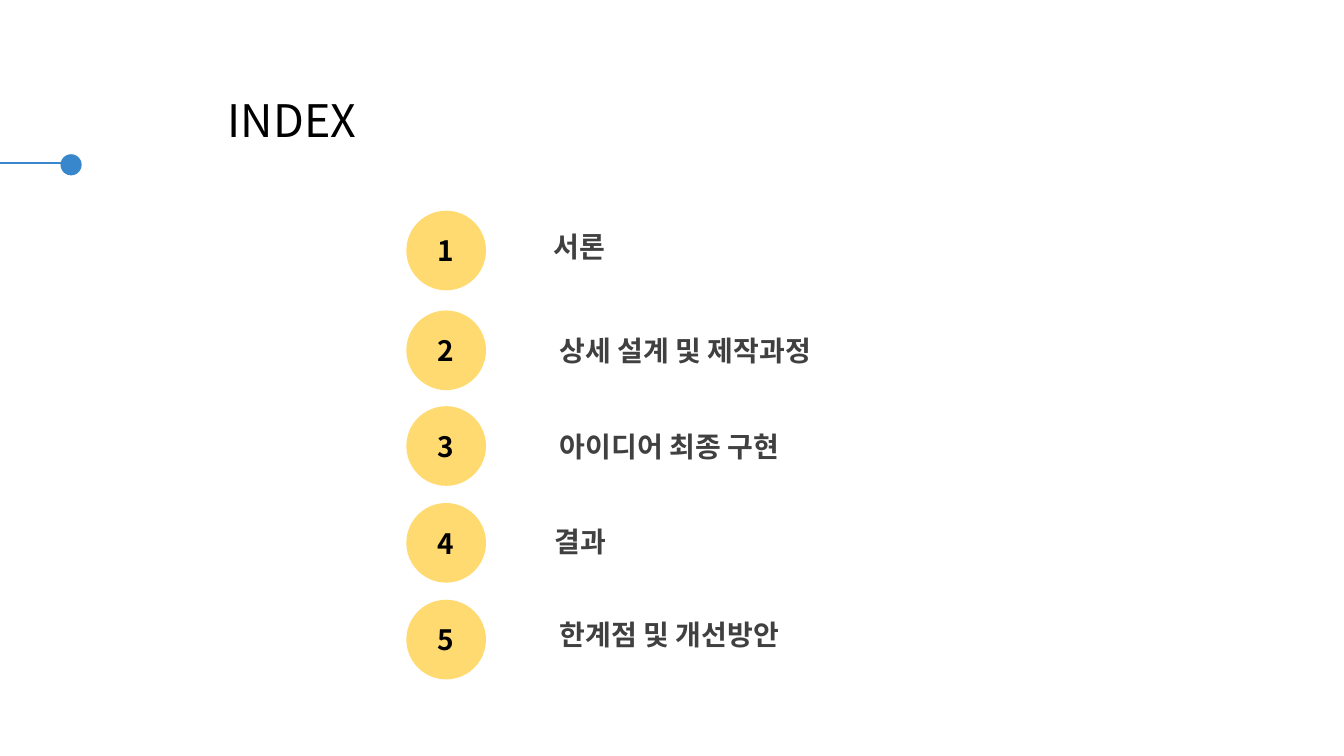
import pptx
import pptx.util
import pptx.dml.color
import pptx.enum.shapes
import pptx.enum.text
import pptx.oxml
import pptx.oxml.ns
from lxml import etree

Inches = pptx.util.Inches
Align = pptx.enum.text.PP_ALIGN
Kind = pptx.enum.shapes.MSO_SHAPE
qn = pptx.oxml.ns.qn
NOTO = "Noto Sans CJK KR"
BLUE = "3886CC"


def color(code):
    return pptx.dml.color.RGBColor.from_string(code)


def write(shape, text, size, face, code, bold, align):
    """Put one styled line of text in a shape, with a Korean fallback font."""
    para = shape.text_frame.paragraphs[0]
    para.text = text
    para.alignment = align
    font = para.runs[0].font
    font.size = pptx.util.Pt(size)
    font.bold = bold
    font.color.rgb = color(code)
    font.name = face
    latin = font._element.find(qn("a:latin"))
    east = etree.Element(qn("a:ea"), typeface=NOTO)
    latin.addnext(east)


deck = pptx.Presentation()
deck.slide_width = Inches(13.33)
deck.slide_height = Inches(7.5)
slide = deck.slides.add_slide(deck.slide_layouts[6])
shapes = slide.shapes

# Title with its line and dot
line = shapes.add_connector(
    pptx.enum.shapes.MSO_CONNECTOR.STRAIGHT,
    Inches(0), Inches(1.62), Inches(0.7), Inches(1.62))
line.line.color.rgb = color(BLUE)
line.line.width = pptx.util.Pt(1.5)
etree.SubElement(line._element.spPr, qn("a:effectLst"))

dot = shapes.add_shape(
    Kind.OVAL, Inches(0.6), Inches(1.53), Inches(0.21), Inches(0.21))
dot.shadow.inherit = False
dot.fill.solid()
dot.fill.fore_color.rgb = color(BLUE)
dot.line.fill.background()

title = shapes.add_textbox(
    Inches(2.16), Inches(0.87), Inches(1.75), Inches(0.64))
title.text_frame.word_wrap = True
write(title, "INDEX", 32, NOTO, "000000", False, Align.LEFT)

# Circle top, then label left, top, width and text
items = [
    (2.09, 5.37, 2.23, 0.76, "서론"),
    (3.08, 5.32, 3.26, 2.96, "상세 설계 및 제작과정"),
    (4.03, 5.34, 4.21, 2.6, "아이디어 최종 구현"),
    (4.99, 5.38, 5.15, 0.76, "결과"),
    (5.95, 5.34, 6.08, 2.6, "한계점 및 개선방안"),
]
for num, (high, left, top, width, text) in enumerate(items, 1):
    disc = shapes.add_shape(
        Kind.OVAL, Inches(4.03), Inches(high), Inches(0.79), Inches(0.79))
    disc.shadow.inherit = False
    disc.fill.solid()
    disc.fill.fore_color.rgb = color("FFC10D")
    tint = disc._element.spPr.find(qn("a:solidFill"))[0]
    etree.SubElement(tint, qn("a:alpha"), val="59000")
    disc.line.fill.background()
    disc.text_frame.vertical_anchor = pptx.enum.text.MSO_ANCHOR.MIDDLE
    write(disc, str(num), 20, NOTO, "000000", True, Align.CENTER)

    label = shapes.add_textbox(
        Inches(left), Inches(top), Inches(width), Inches(0.44))
    label.text_frame.word_wrap = False
    write(label, text, 20, "League Spartan", "404040", True, Align.CENTER)

deck.save("out.pptx")
